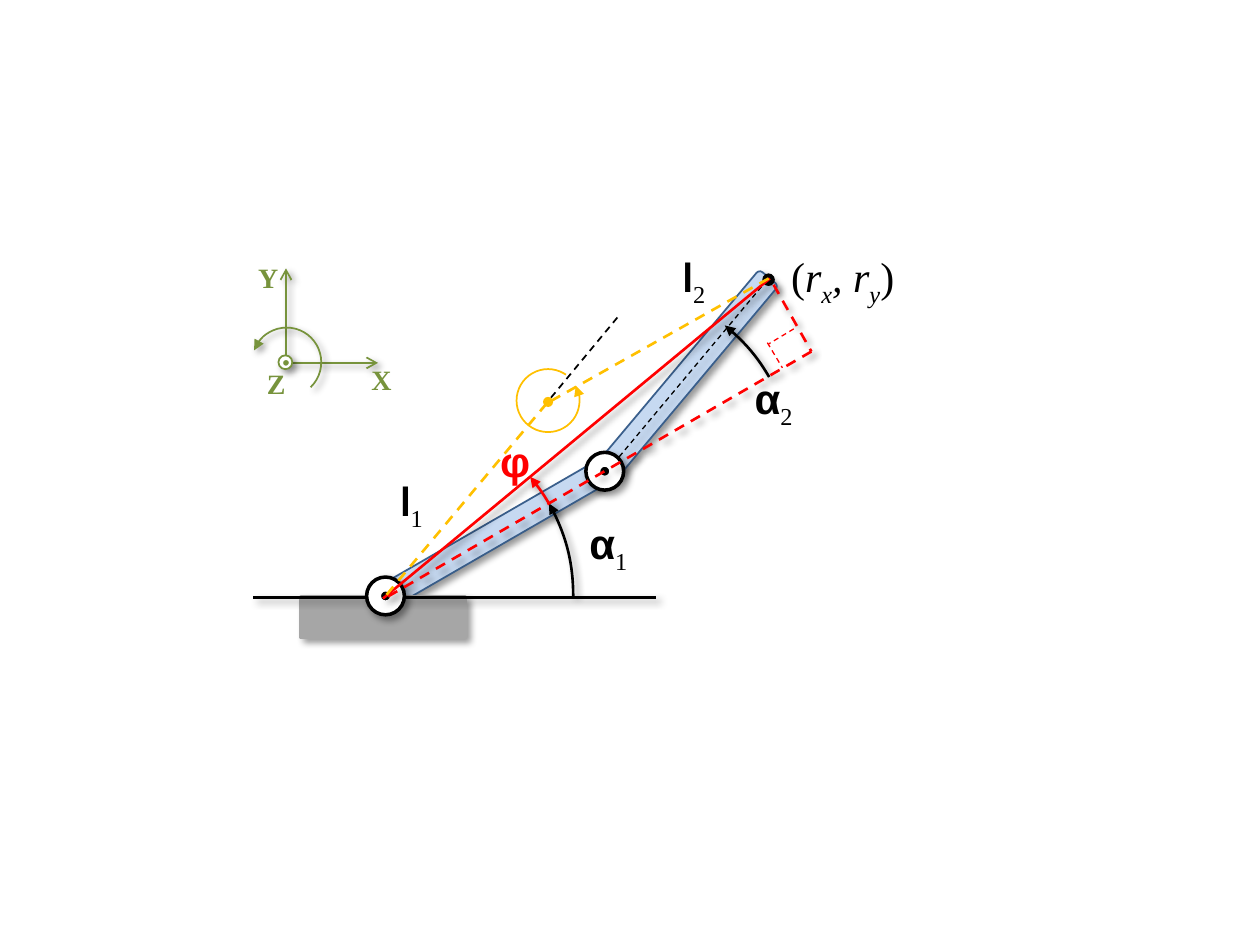
from dataclasses import dataclass
from typing import Any

from pptx import Presentation
from pptx.dml.color import RGBColor
from pptx.enum.dml import MSO_LINE
from pptx.enum.shapes import MSO_CONNECTOR, MSO_SHAPE
from pptx.enum.text import MSO_AUTO_SIZE
from pptx.oxml import parse_xml
from pptx.oxml.ns import nsdecls
from pptx.util import Inches, Pt

COLORS = {
    "black": "000000", "white": "FFFFFF", "gray": "A6A6A6", "red": "FF0000",
    "gold": "FFC000", "green": "77933C", "link": "C6D9F1", "link edge": "3A5F8C",
}
SERIF = "Times New Roman"


def rgb(name):
    return RGBColor.from_string(COLORS[name])


def set_effects(shape, shadow):
    """Give the shape a soft offset shadow, or none at all."""
    outer = (
        f'<a:outerShdw blurRad="{Pt(4)}" dist="{Pt(3)}" dir="2700000" algn="tl" rotWithShape="0">'
        f'<a:srgbClr val="{COLORS["black"]}"><a:alpha val="40000"/></a:srgbClr></a:outerShdw>'
    )
    shape._element.spPr.append(
        parse_xml(f'<a:effectLst {nsdecls("a")}>{outer if shadow else ""}</a:effectLst>'))


def set_line(shape, color, width, dashed=False, arrowhead=None):
    """Style the outline; arrowhead is a pair such as ("tailEnd", "arrow")."""
    shape.line.color.rgb = rgb(color)
    shape.line.width = Pt(width)
    if dashed:
        shape.line.dash_style = MSO_LINE.DASH
    if arrowhead:
        end, kind = arrowhead
        shape.line._get_or_add_ln().append(
            parse_xml(f'<a:{end} {nsdecls("a")} type="{kind}"/>'))


@dataclass
class Region:
    """A set of shapes placed relative to a left top corner, in inches."""
    shapes: Any
    left: float
    top: float

    def group(self):
        return Region(self.shapes.add_group_shape().shapes, self.left, self.top)

    def at(self, x, y):
        return Inches(self.left + x), Inches(self.top + y)

    def line(self, start, end, color, width, dashed=False, arrowhead=None, shadow=True):
        connector = self.shapes.add_connector(
            MSO_CONNECTOR.STRAIGHT, *self.at(*start), *self.at(*end))
        set_line(connector, color, width, dashed, arrowhead)
        set_effects(connector, shadow)

    def solid(self, kind, x, y, width, height, fill, edge=None, edge_width=1,
              rotation=0, shadow=False):
        shape = self.shapes.add_shape(kind, *self.at(x, y), Inches(width), Inches(height))
        shape.rotation = rotation
        shape.fill.solid()
        shape.fill.fore_color.rgb = rgb(fill)
        if edge:
            set_line(shape, edge, edge_width)
        else:
            shape.line.fill.background()
        set_effects(shape, shadow)

    def dot(self, x, y, size, fill, edge=None, edge_width=1, shadow=False):
        self.solid(MSO_SHAPE.OVAL, x, y, size, size, fill, edge, edge_width, shadow=shadow)

    def arc(self, x, y, size, start, end, color, width, shadow=True):
        """Draw an arc between two clockwise angles in degrees, arrow at the start."""
        shape = self.shapes.add_shape(
            MSO_SHAPE.ARC, *self.at(x, y), Inches(size), Inches(size))
        for index, angle in enumerate((start, end)):
            shape.adjustments[index] = angle * 0.6
        shape.fill.background()
        set_line(shape, color, width, arrowhead=("headEnd", "triangle"))
        set_effects(shape, shadow)

    def label(self, x, y, width, runs, color="black", size=24, height=0.5, wrap=False):
        """Each run is (text, font name, styles); styles are b, i and s for subscript."""
        box = self.shapes.add_textbox(*self.at(x, y), Inches(width), Inches(height))
        box.text_frame.word_wrap = wrap
        box.text_frame.auto_size = MSO_AUTO_SIZE.SHAPE_TO_FIT_TEXT
        paragraph = box.text_frame.paragraphs[0]
        paragraph.font.size = Pt(size)
        paragraph.font.color.rgb = rgb(color)
        for text, font_name, styles in runs:
            run = paragraph.add_run()
            run.text = text
            run.font.name = font_name
            run.font.bold = "b" in styles
            run.font.italic = "i" in styles
            if "s" in styles:
                run.font._element.set("baseline", "-25000")

    def indexed_label(self, x, y, width, symbol, font_name, index, wrap=False):
        self.label(x, y, width, [(symbol, font_name, "b"), (index, SERIF, "s")], wrap=wrap)

    def link(self, x, y, rotation):
        self.solid(MSO_SHAPE.ROUNDED_RECTANGLE, x, y, 0.2, 2, "link", "link edge",
                   rotation=rotation, shadow=True)

    def joint(self, x, y):
        pivot = self.group()
        pivot.dot(x, y, 0.3, "white", "black", 2, shadow=True)
        pivot.dot(x + 0.1, y + 0.1, 0.1, "black", "white", 2)


def add_first_link(shapes, left, top):
    region = Region(shapes, left, top)
    region.link(1.84, 0.03, 60)
    # Ground
    region.solid(MSO_SHAPE.RECTANGLE, 0.39, 1.54, 1.3, 0.32, "gray", "gray", 2, shadow=True)
    region.line((0.01, 1.54), (3.21, 1.54), "black", 1.5)
    region.joint(0.91, 1.38)
    # Angle and names
    region.arc(-0.45, 0.03, 3, 330.74, 0, "black", 1.5)
    region.indexed_label(2.58, 0.86, 0.63, "α", "Arial", "1", wrap=True)
    region.indexed_label(1.08, 0.52, 0.46, "l", "Calibri", "1")


def add_second_link(shapes, left, top):
    region = Region(shapes, left, top)
    region.link(0.76, 0.07, 40)
    # Angle and names
    region.indexed_label(0.72, 0.04, 0.46, "l", "Calibri", "2")
    region.arc(-1.29, 0.35, 3, 308.95, 329.71, "black", 1.5)
    region.indexed_label(1.29, 1.01, 0.63, "α", "Arial", "2", wrap=True)
    # Centre line and elbow
    region.line((1.49, 0.32), (0.21, 1.85), "black", 0.75, dashed=True)
    region.joint(0.05, 1.69)


def add_target_triangle(shapes, left, top):
    region = Region(shapes, left, top)
    # Target point
    region.label(3.18, 0.04, 1.06, [
        ("(", SERIF, ""), ("r", SERIF, "i"), ("x", SERIF, "is"),
        (", r", SERIF, "i"), ("y", SERIF, "is"), (")", SERIF, "")])
    region.dot(3.05, 0.27, 0.1, "black")
    # Triangle from base to target
    region.line((3.11, 0.31), (0.04, 2.85), "red", 1.5)
    region.arc(-1.44, 1.35, 3, 319.95, 329.72, "red", 1.5)
    region.line((3.14, 0.36), (3.44, 0.89), "red", 1.5, dashed=True)
    region.line((3.44, 0.89), (0.07, 2.84), "red", 1.5, dashed=True)
    # Right angle mark
    corner = region.group()
    corner.line((3.3, 0.71), (3.1, 0.83), "red", 0.75, dashed=True, shadow=False)
    corner.line((3.09, 0.82), (3.21, 1.02), "red", 0.75, dashed=True, shadow=False)
    region.label(0.87, 1.51, 0.31, [("φ", "Arial", "b")], "red", wrap=True)


def add_alternate_pose(shapes, left, top):
    region = Region(shapes, left, top)
    region.line((3.1, 0.01), (1.36, 0.99), "gold", 1.5, dashed=True, shadow=False)
    region.line((1.34, 1), (0.06, 2.53), "gold", 1.5, dashed=True, shadow=False)
    region.arc(1.1, 0.73, 0.5, 331.76, 304.61, "gold", 1, shadow=False)
    region.line((1.9, 0.32), (1.37, 0.96), "black", 1, dashed=True, shadow=False)
    region.dot(1.31, 0.95, 0.08, "gold")


def add_axes(shapes, left, top):
    axes = Region(shapes, left, top).group()
    # X and Y arrows
    axes.line((0.37, 0.88), (1.1, 0.88), "green", 1, arrowhead=("tailEnd", "arrow"))
    axes.line((0.37, 0.87), (0.37, 0.13), "green", 1, arrowhead=("tailEnd", "arrow"))
    # Z axis pointing out of the plane
    axes.dot(0.31, 0.82, 0.11, "white", "green", shadow=True)
    axes.dot(0.34, 0.85, 0.06, "green", "white")
    for name, x, y in (("Y", 0.05, 0.02), ("X", 0.95, 0.83), ("Z", 0.12, 0.86)):
        axes.label(x, y, 0.36, [(name, SERIF, "b")], "green", size=16, height=0.37)
    axes.arc(0.1, 0.6, 0.55, 200.1, 46.18, "green", 1)


def main():
    presentation = Presentation()
    presentation.slide_width = Inches(10)
    presentation.slide_height = Inches(7.5)
    slide = presentation.slides.add_slide(presentation.slide_layouts[6])
    add_first_link(slide.shapes, 2, 3.2)
    add_second_link(slide.shapes, 4.6, 1.9)
    add_target_triangle(slide.shapes, 3, 1.9)
    add_alternate_pose(slide.shapes, 3, 2.2)
    add_axes(slide.shapes, 1.9, 2)
    presentation.save("out.pptx")


if __name__ == "__main__":
    main()
